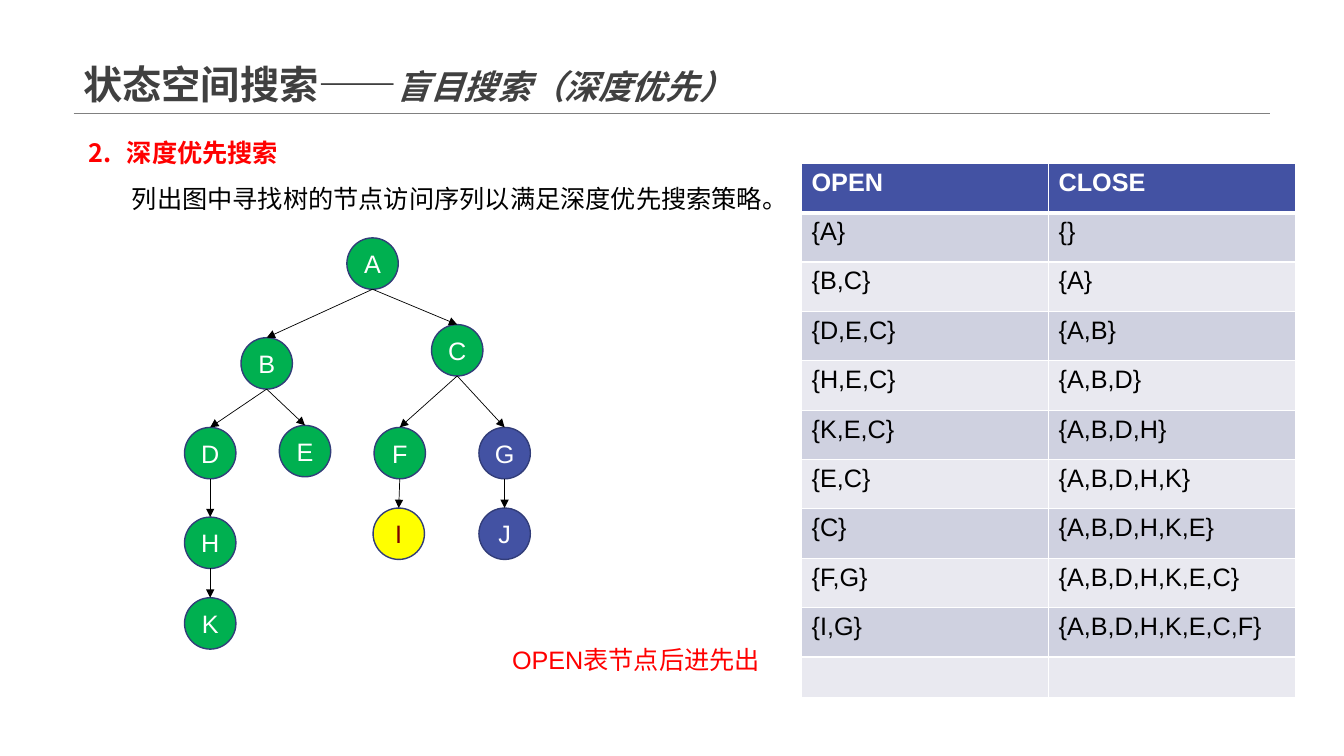
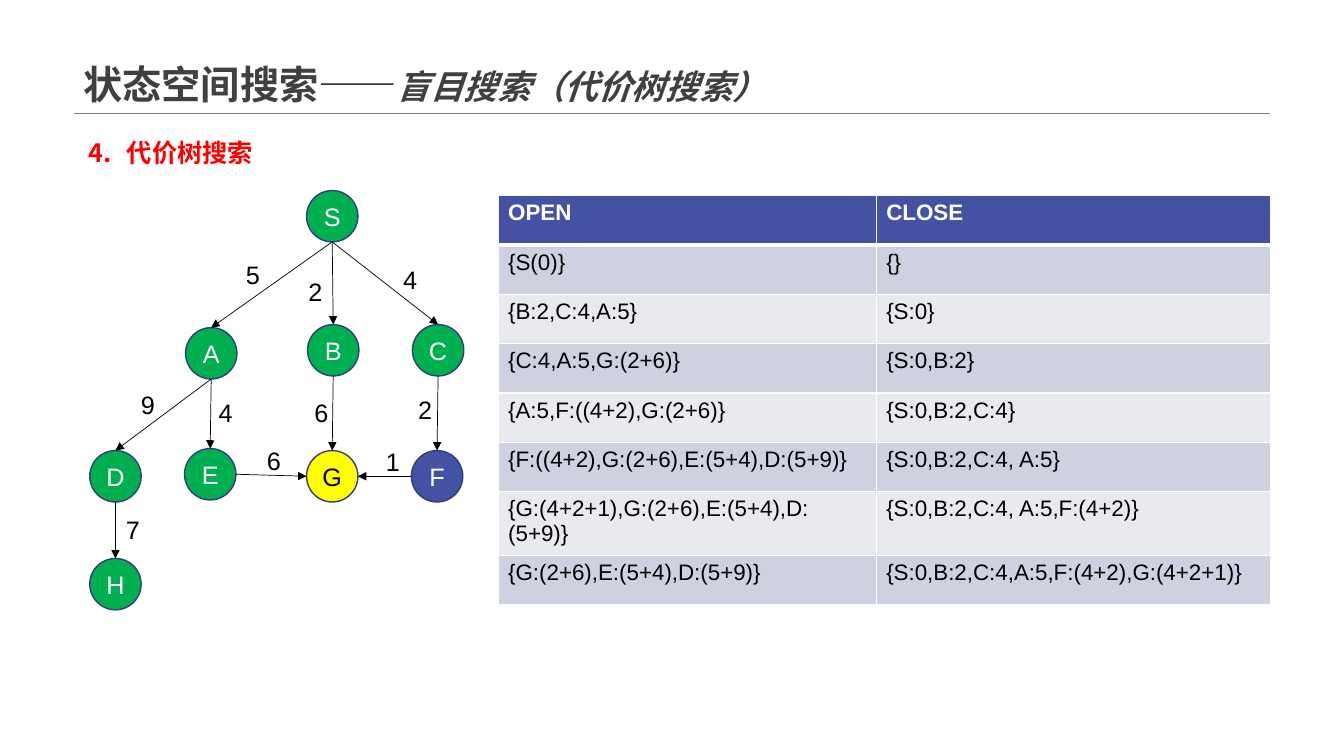
from lxml import etree
from pptx import Presentation
from pptx.dml.color import RGBColor
from pptx.enum import shapes, text
from pptx.oxml.ns import qn
from pptx.util import Inches, Pt

COLORS = {
    "title": "404040", "rule": "808080", "red": "FF0000", "black": "000000",
    "white": "FFFFFF", "visited": "00B050", "unvisited": "4352A3",
    "goal": "FFFF00", "outline": "323D79", "goal_text": "7E0000",
    "header": "4352A3", "odd": "CFD1E0", "even": "E9E9F0",
}
RGB = {name: RGBColor.from_string(value) for name, value in COLORS.items()}
NODE = 0.51
ROW = 0.49

SLIDES = [
    {
        "title": "盲目搜索（深度优先）", "number": 2, "heading": "深度优先搜索",
        "nodes": {
            "A": (3.44, 2.36), "B": (2.39, 3.35), "C": (4.28, 3.22),
            "E": (2.77, 4.22), "D": (1.83, 4.24), "F": (3.71, 4.24),
            "G": (4.75, 4.24), "H": (1.83, 5.13), "K": (1.83, 5.93),
            "I": (3.7, 5.04), "J": (4.75, 5.04),
        },
        "unvisited": "GJ", "goal": "I", "goal_text": "goal_text",
        "edges": ["AB", "AC", "BD", "BE", "DH", "HK", "CF", "CG", "FI", "GJ"],
        "weights": [],
        "table_at": (7.95, 1.62), "cols": (2.45, 2.45), "size": 18,
        "rows": [
            ("OPEN", "CLOSE"),
            ("{A}", "{}"),
            ("{B,C}", "{A}"),
            ("{D,E,C}", "{A,B}"),
            ("{H,E,C}", "{A,B,D}"),
            ("{K,E,C}", "{A,B,D,H}"),
            ("{E,C}", "{A,B,D,H,K}"),
            ("{C}", "{A,B,D,H,K,E}"),
            ("{F,G}", "{A,B,D,H,K,E,C}"),
            ("{I,G}", "{A,B,D,H,K,E,C,F}"),
            ("", ""),
        ],
        "notes": [
            ("列出图中寻找树的节点访问序列以满足深度优先搜索策略。",
             (1.21, 1.77, 7.02, 0.4), "black", 1),
            ("OPEN表节点后进先出", (4.98, 6.19, 2.68, 0.5), "red", 1.5),
        ],
    },
    {
        "title": "盲目搜索（代价树搜索）", "number": 4, "heading": "代价树搜索",
        "nodes": {
            "S": (3.04, 1.89), "A": (1.84, 3.25), "C": (4.09, 3.22),
            "E": (1.83, 4.45), "D": (0.89, 4.47), "G": (3.04, 4.47),
            "F": (4.08, 4.47), "H": (0.89, 5.54), "B": (3.05, 3.22),
        },
        "unvisited": "F", "goal": "G", "goal_text": "black",
        "edges": ["SA", "SC", "AD", "AE", "DH", "SB", "BG", "CF", "EG", "FG"],
        "weights": [
            ("5", 2.34, 2.52), ("2", 2.96, 2.69), ("4", 3.9, 2.57),
            ("4", 2.07, 3.89), ("6", 3.02, 3.89), ("2", 4.05, 3.86),
            ("6", 2.55, 4.37), ("1", 3.73, 4.38), ("9", 1.3, 3.81),
            ("7", 1.15, 5.05),
        ],
        "table_at": (4.94, 1.94), "cols": (3.75, 3.91), "size": 16,
        "rows": [
            ("OPEN", "CLOSE"),
            ("{S(0)}", "{}"),
            ("{B:2,C:4,A:5}", "{S:0}"),
            ("{C:4,A:5,G:(2+6)}", "{S:0,B:2}"),
            ("{A:5,F:((4+2),G:(2+6)}", "{S:0,B:2,C:4}"),
            ("{F:((4+2),G:(2+6),E:(5+4),D:(5+9)}", "{S:0,B:2,C:4, A:5}"),
            ("{G:(4+2+1),G:(2+6),E:(5+4),D:(5+9)}", "{S:0,B:2,C:4, A:5,F:(4+2)}"),
            ("{G:(2+6),E:(5+4),D:(5+9)}", "{S:0,B:2,C:4,A:5,F:(4+2),G:(4+2+1)}"),
        ],
        "notes": [],
    },
]


def style(r, size, color, bold=False):
    r.font.name = "Arial"
    r.font.size = Pt(size)
    r.font.bold = bold
    r.font.color.rgb = RGB[color]


def add_text(s, content, box, color, bold=False):
    """Add a wrapping 18 pt text box and return its paragraph."""
    tf = s.shapes.add_textbox(*map(Inches, box)).text_frame
    tf.word_wrap = True
    p = tf.paragraphs[0]
    p.text = content
    style(p.runs[0], 18, color, bold)
    return p


prs = Presentation()
prs.slide_width, prs.slide_height = Inches(13.33), Inches(7.5)

for data in SLIDES:
    s = prs.slides.add_slide(prs.slide_layouts[6])

    # Title, rule and numbered heading
    rule = s.shapes.add_connector(shapes.MSO_CONNECTOR.STRAIGHT, Inches(0.73),
                                  Inches(1.12), Inches(12.6), Inches(1.12))
    rule.line.color.rgb = RGB["rule"]
    rule.line.width = Pt(0.25)
    etree.SubElement(rule._element.spPr, qn("a:effectLst"))

    p = add_text(s, "状态空间搜索——", (0.73, 0, 11.87, 1.12), "title", True)
    p.line_spacing = 0.9
    p.runs[0].font.size = Pt(28)
    r = p.add_run()
    r.text = data["title"]
    style(r, 24, "title", True)
    r.font.italic = True
    s.shapes[-1].text_frame.vertical_anchor = text.MSO_ANCHOR.BOTTOM

    p = add_text(s, data["heading"], (0.78, 1.31, 2.09, 0.4), "red", True)
    pPr = p._p.get_or_add_pPr()
    pPr.set("marL", str(Inches(0.38)))
    pPr.set("indent", str(-Inches(0.38)))
    etree.SubElement(pPr, qn("a:buAutoNum"), type="arabicPeriod",
                     startAt=str(data["number"]))

    # Search tree
    for name, (x, y) in data["nodes"].items():
        fill, color = "visited", "white"
        if name in data["unvisited"]:
            fill = "unvisited"
        elif name == data["goal"]:
            fill, color = "goal", data["goal_text"]
        sp = s.shapes.add_shape(shapes.MSO_SHAPE.OVAL, Inches(x), Inches(y),
                                Inches(NODE), Inches(NODE))
        sp.shadow.inherit = False
        sp.fill.solid()
        sp.fill.fore_color.rgb = RGB[fill]
        sp.line.color.rgb = RGB["outline"]
        sp.line.width = Pt(1)
        tf = sp.text_frame
        tf.margin_left = tf.margin_right = tf.margin_top = tf.margin_bottom = 0
        tf.vertical_anchor = text.MSO_ANCHOR.MIDDLE
        p = tf.paragraphs[0]
        p.text = name
        p.alignment = text.PP_ALIGN.CENTER
        style(p.runs[0], 18, color)

    for start, end in data["edges"]:
        (x1, y1), (x2, y2) = data["nodes"][start], data["nodes"][end]
        if abs(y2 - y1) < NODE:  # neighbours on one level join side to side
            y1, y2 = y1 + NODE / 2, y2 + NODE / 2
            if x1 < x2:
                x1 += NODE
            else:
                x2 += NODE
        else:
            x1, x2, y1 = x1 + NODE / 2, x2 + NODE / 2, y1 + NODE
        edge = s.shapes.add_connector(shapes.MSO_CONNECTOR.STRAIGHT,
                                      *map(Inches, (x1, y1, x2, y2)))
        edge.line.color.rgb = RGB["black"]
        edge.line.width = Pt(0.5)
        etree.SubElement(edge.line._get_or_add_ln(), qn("a:tailEnd"), type="triangle")
        etree.SubElement(edge._element.spPr, qn("a:effectLst"))

    for weight, x, y in data["weights"]:
        add_text(s, weight, (x, y, 0.26, 0.4), "black")

    # OPEN and CLOSE lists
    rows, cols = data["rows"], data["cols"]
    x, y = data["table_at"]
    table = s.shapes.add_table(len(rows), len(cols), Inches(x), Inches(y),
                               Inches(sum(cols)), Inches(ROW * len(rows))).table
    for column, width in zip(table.columns, cols):
        column.width = Inches(width)
    for i, row in enumerate(rows):
        table.rows[i].height = Inches(ROW if row[0] else 0.39)
        for j, content in enumerate(row):
            cell = table.cell(i, j)
            tcPr = cell._tc.get_or_add_tcPr()
            for side in "LRTB":
                thick = (i, side) in ((0, "B"), (1, "T"))
                ln = etree.SubElement(tcPr, qn(f"a:ln{side}"), w=str(Pt(3 if thick else 1)))
                solid = etree.SubElement(ln, qn("a:solidFill"))
                etree.SubElement(solid, qn("a:srgbClr"), val=COLORS["white"])
            cell.fill.solid()
            cell.fill.fore_color.rgb = RGB["header" if i == 0 else "odd" if i % 2 else "even"]
            if content:
                p = cell.text_frame.paragraphs[0]
                p.text = content
                style(p.runs[0], data["size"], "black" if i else "white", i == 0)

    for content, box, color, spacing in data["notes"]:
        add_text(s, content, box, color).line_spacing = spacing

prs.save("out.pptx")
